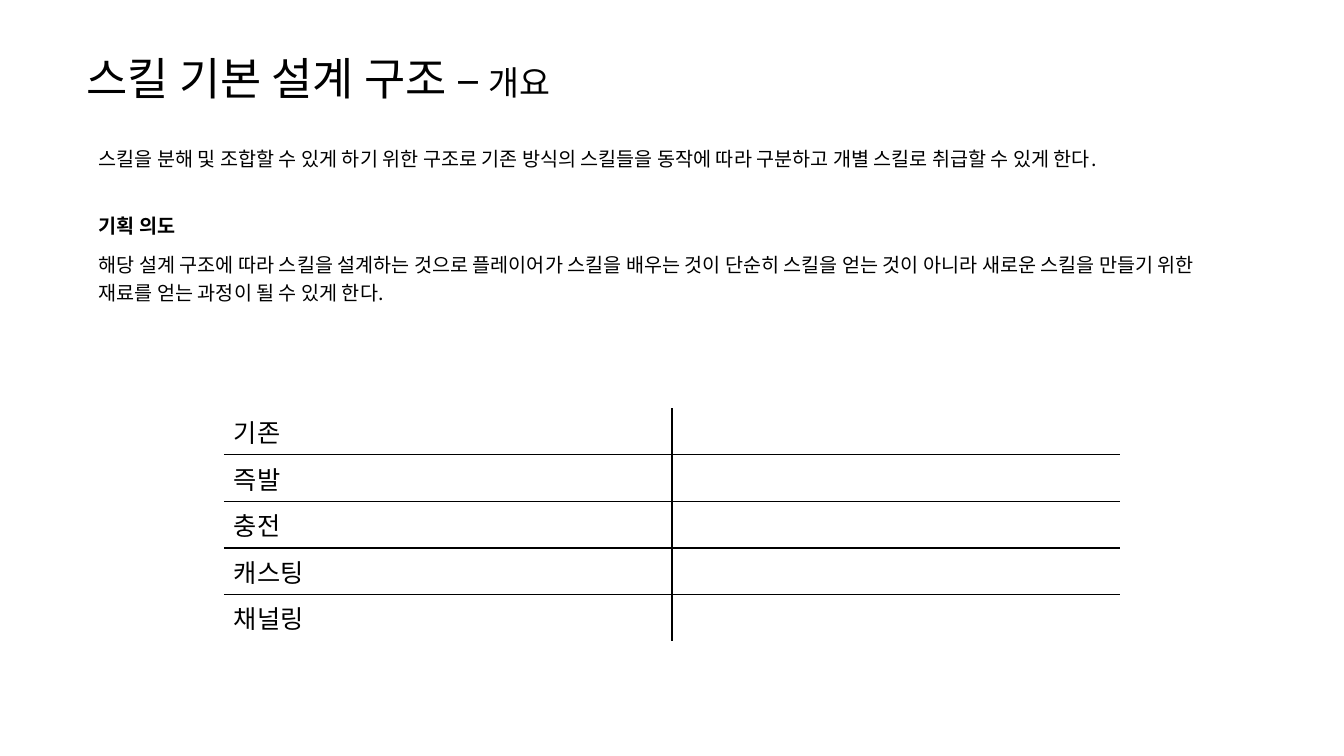
from dataclasses import dataclass
from lxml.etree import SubElement
from pptx import Presentation
from pptx.dml.color import RGBColor
from pptx.enum.text import MSO_ANCHOR, MSO_AUTO_SIZE, PP_ALIGN
from pptx.oxml.ns import qn
from pptx.util import Inches, Pt


@dataclass(frozen=True)
class Theme:
    font: str = "Noto Sans CJK KR"
    ink: str = "000000"
    head: int = 32
    sub: int = 24
    cell: int = 18
    body: int = 14
    rule: int = 1


theme = Theme()


def style(run, size, bold=False):
    font = run.font
    font.size, font.bold, font.name = Pt(size), bold, theme.font
    font.color.rgb = RGBColor.from_string(theme.ink)
    SubElement(run._r.get_or_add_rPr(), qn("a:ea"), typeface=theme.font)


def grid(left, top, wide, rows, cols):
    frame = slide.shapes.add_table(
        len(rows), cols, Inches(left), Inches(top), Inches(wide), Inches(sum(rows)))
    table = frame.table
    table.first_row = table.horz_banding = False
    table._tbl.tblPr.find(qn("a:tableStyleId")).text = "{2D5ABB26-0587-4C30-8999-92F81FD0307C}"
    for row, high in zip(table.rows, rows):
        row.height = Inches(high)
    for cell in table.iter_cells():
        cell.fill.background()
    return table


deck = Presentation()
deck.slide_width, deck.slide_height = Inches(13.33), Inches(7.5)
slide = deck.slides.add_slide(deck.slide_layouts[5])

title = slide.shapes.title
title.left, title.top = Inches(0.76), Inches(0.42)
title.width, title.height = Inches(11.81), Inches(0.69)
frame = title.text_frame
frame.text = "스킬 기본 설계 구조 –"
frame.auto_size = MSO_AUTO_SIZE.NONE
frame.vertical_anchor = MSO_ANCHOR.MIDDLE
line = frame.paragraphs[0]
line.alignment = PP_ALIGN.LEFT
line.add_run().text = " 개요"
for run, size in zip(line.runs, (theme.head, theme.sub)):
    style(run, size)

notes = [
    ("스킬을 분해 및 조합할 수 있게 하기 위한 구조로 기존 방식의 스킬들을 동작에 따라 구분하고 개별 스킬로 취급할 수 있게 한다.",
     0.38, False, MSO_ANCHOR.TOP),
    ("기획 의도", 0.66, True, MSO_ANCHOR.BOTTOM),
    ("해당 설계 구조에 따라 스킬을 설계하는 것으로 플레이어가 스킬을 배우는 것이 단순히 스킬을 얻는 것이 아니라 "
     "새로운 스킬을 만들기 위한 재료를 얻는 과정이 될 수 있게 한다.",
     0.66, False, MSO_ANCHOR.MIDDLE),
]
intro = grid(0.88, 1.38, 11.58, [note[1] for note in notes], 1)
for row, (text, high, bold, anchor) in enumerate(notes):
    cell = intro.cell(row, 0)
    cell.text_frame.text = text
    cell.vertical_anchor = anchor
    style(cell.text_frame.paragraphs[0].runs[0], theme.body, bold)

kinds = ["기존", "즉발", "충전", "캐스팅", "채널링"]
last = len(kinds) - 1
skills = grid(2.22, 4.05, 8.89, [0.46] * len(kinds), 2)
for row, kind in enumerate(kinds):
    cell = skills.cell(row, 0)
    cell.text_frame.text = kind
    style(cell.text_frame.paragraphs[0].runs[0], theme.cell)
    for col in range(2):
        props = skills.cell(row, col)._tc.get_or_add_tcPr()
        sides = [("L", col == 1), ("R", col == 0), ("T", row > 0), ("B", row < last)]
        for spot, (side, shown) in enumerate(sides):
            edge = SubElement(props, qn(f"a:ln{side}"), w=str(Pt(theme.rule)))
            if shown:
                fill = SubElement(edge, qn("a:solidFill"))
                SubElement(fill, qn("a:srgbClr"), val=theme.ink)
            else:
                SubElement(edge, qn("a:noFill"))
            props.insert(spot, edge)

deck.save("out.pptx")
